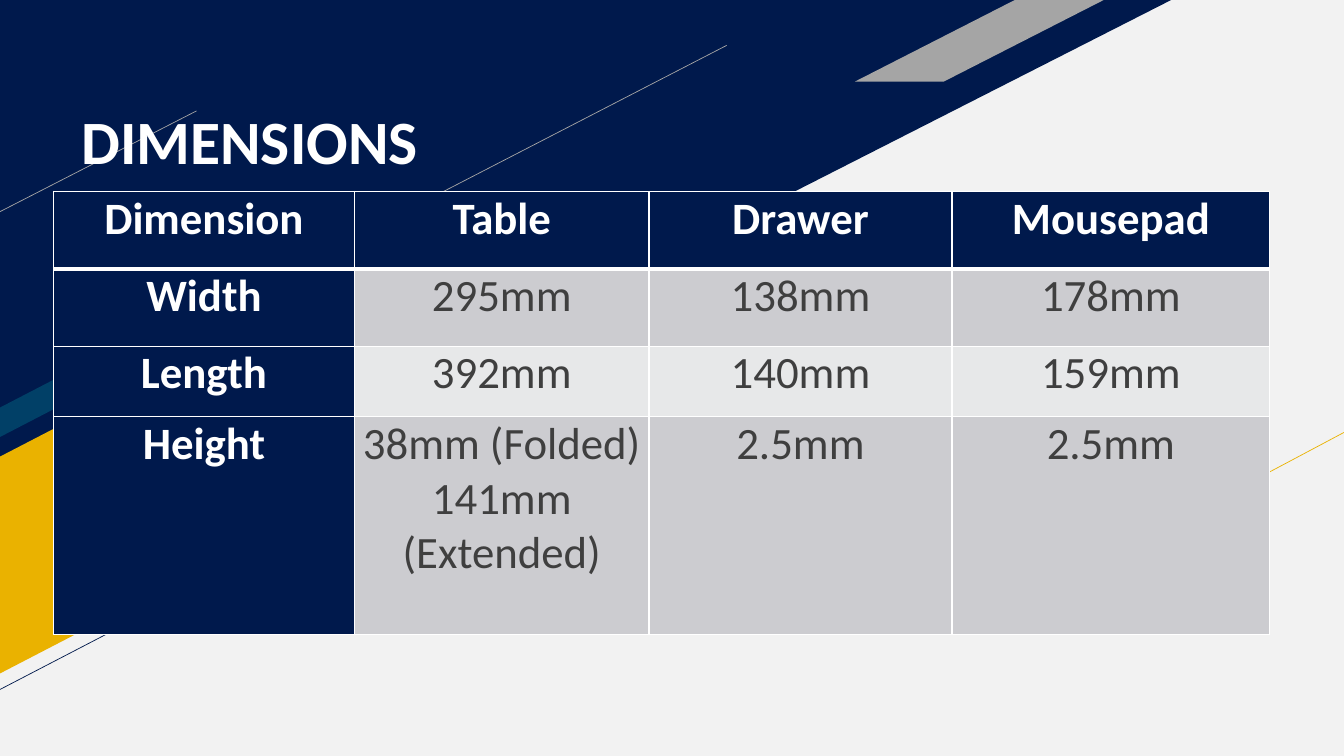
from dataclasses import dataclass

from lxml.etree import SubElement
from pptx import Presentation
from pptx.dml.color import RGBColor
from pptx.enum.shapes import MSO_CONNECTOR, MSO_SHAPE
from pptx.enum.text import MSO_ANCHOR, PP_ALIGN
from pptx.oxml import parse_xml
from pptx.oxml.ns import nsdecls, qn
from pptx.util import Pt


@dataclass(frozen=True)
class Theme:
    font: str = "Calibri"
    title_size: int = 44
    table_size: int = 32
    white: str = "FFFFFF"
    paper: str = "F2F2F2"
    navy: str = "00194C"
    teal: str = "014067"
    gold: str = "EAB200"
    gray: str = "A5A5A5"
    hairline: str = "A6A6A6"
    body_text: str = "3F3F3F"
    band_dark: str = "CCCCD0"
    band_light: str = "E7E8E9"


THEME = Theme()
SLIDE_WIDTH, SLIDE_HEIGHT = 960, 540
TILT = -27.4

TITLE = "DIMENSIONS"
DIMENSIONS = [
    ["Dimension", "Table", "Drawer", "Mousepad"],
    ["Width", "295mm", "138mm", "178mm"],
    ["Length", "392mm", "140mm", "159mm"],
    ["Height", "38mm (Folded)\n141mm (Extended)", "2.5mm", "2.5mm"],
]
TABLE_LEFT, TABLE_TOP = 38.2, 136.8
COLUMN_WIDTHS = [215.1, 210.3, 216.5, 227]
ROW_HEIGHTS = [55.2, 55.4, 50.2, 155.6]

# start, end, colour, from back to front
GOLD_LINE = ((709.2, 442.1), (960, 308.9), THEME.gold)
SHORT_LINE = ((0, 151.2), (140.4, 79.2), THEME.hairline)
LONG_LINE = ((0, 300.2), (519.1, 32.4), THEME.hairline)
NAVY_LINE = ((-1.4, 493.2), (149.8, 414.7), THEME.navy)


def add_block(slide, preset, box, color, rotation=0, slant=None):
    block = slide.shapes.add_shape(preset, *map(Pt, box))
    block.shadow.inherit = False
    block.fill.solid()
    block.fill.fore_color.rgb = RGBColor.from_string(color)
    block.line.fill.background()
    block.rotation = rotation
    if slant is not None:
        block.adjustments[0] = slant
    return block


def add_hairline(slide, start, end, color):
    hairline = slide.shapes.add_connector(
        MSO_CONNECTOR.STRAIGHT, *map(Pt, start + end))
    hairline.line.color.rgb = RGBColor.from_string(color)
    hairline.line.width = Pt(0.5)
    SubElement(hairline._element.spPr, qn("a:effectLst"))


def add_backdrop(slide):
    add_block(slide, MSO_SHAPE.RECTANGLE,
              (0, 0, SLIDE_WIDTH, SLIDE_HEIGHT), THEME.paper)
    corner = add_block(slide, MSO_SHAPE.RIGHT_TRIANGLE,
                       (0, 0, 836.6, 425.5), THEME.navy)
    corner._element.spPr.xfrm.set("flipV", "1")
    add_block(slide, MSO_SHAPE.PARALLELOGRAM,
              (-50.4, 282.2, 303.8, 137.5), THEME.gold, TILT, 0.53)
    add_hairline(slide, *SHORT_LINE)
    add_hairline(slide, *GOLD_LINE)
    add_block(slide, MSO_SHAPE.PARALLELOGRAM,
              (610.6, 0, 177.8, 58.3), THEME.gray, slant=1.96)
    add_hairline(slide, *LONG_LINE)
    add_hairline(slide, *NAVY_LINE)
    add_block(slide, MSO_SHAPE.PARALLELOGRAM,
              (-10.8, 268.6, 113, 18.7), THEME.teal, TILT, 0.53)


def set_font(paragraph, size, color, bold):
    font = paragraph.font
    font.name, font.size, font.bold = THEME.font, Pt(size), bold
    font.color.rgb = RGBColor.from_string(color)


def add_title(slide):
    title = slide.shapes.add_textbox(Pt(51.1), Pt(38.2), Pt(285.1), Pt(88.6))
    frame = title.text_frame
    frame.word_wrap = True
    frame.vertical_anchor = MSO_ANCHOR.BOTTOM
    frame.margin_bottom = 0
    frame.text = TITLE
    frame.paragraphs[0].line_spacing = 0.9
    set_font(frame.paragraphs[0], THEME.title_size, THEME.white, True)


def set_borders(cell, row):
    """Draw thin white borders, with a thick one under the header row."""
    weights = {"lnL": 1, "lnR": 1,
               "lnT": 3 if row == 1 else 1, "lnB": 3 if row == 0 else 1}
    properties = cell._tc.get_or_add_tcPr()
    for position, (side, weight) in enumerate(weights.items()):
        properties.insert(position, parse_xml(
            f'<a:{side} {nsdecls("a")} w="{Pt(weight)}"><a:solidFill>'
            f'<a:srgbClr val="{THEME.white}"/></a:solidFill></a:{side}>'))


def fill_cell(cell, row, column):
    heading = row == 0 or column == 0
    band = THEME.band_dark if row % 2 else THEME.band_light
    cell.text = DIMENSIONS[row][column]
    cell.margin_left = cell.margin_right = Pt(5)
    cell.margin_top = cell.margin_bottom = 0
    cell.fill.solid()
    cell.fill.fore_color.rgb = RGBColor.from_string(
        THEME.navy if heading else band)
    for paragraph in cell.text_frame.paragraphs:
        paragraph.alignment = PP_ALIGN.CENTER
        set_font(paragraph, THEME.table_size,
                 THEME.white if heading else THEME.body_text, heading)
    set_borders(cell, row)


def add_dimensions(slide):
    table = slide.shapes.add_table(
        len(ROW_HEIGHTS), len(COLUMN_WIDTHS), Pt(TABLE_LEFT), Pt(TABLE_TOP),
        Pt(sum(COLUMN_WIDTHS)), Pt(sum(ROW_HEIGHTS))).table
    table.first_col = True
    for column, width in zip(table.columns, COLUMN_WIDTHS):
        column.width = Pt(width)
    for row, height in zip(table.rows, ROW_HEIGHTS):
        row.height = Pt(height)
    for row in range(len(ROW_HEIGHTS)):
        for column in range(len(COLUMN_WIDTHS)):
            fill_cell(table.cell(row, column), row, column)


def main():
    deck = Presentation()
    deck.slide_width, deck.slide_height = Pt(SLIDE_WIDTH), Pt(SLIDE_HEIGHT)
    slide = deck.slides.add_slide(deck.slide_layouts[6])
    add_backdrop(slide)
    add_title(slide)
    add_dimensions(slide)
    deck.save("out.pptx")


if __name__ == "__main__":
    main()
